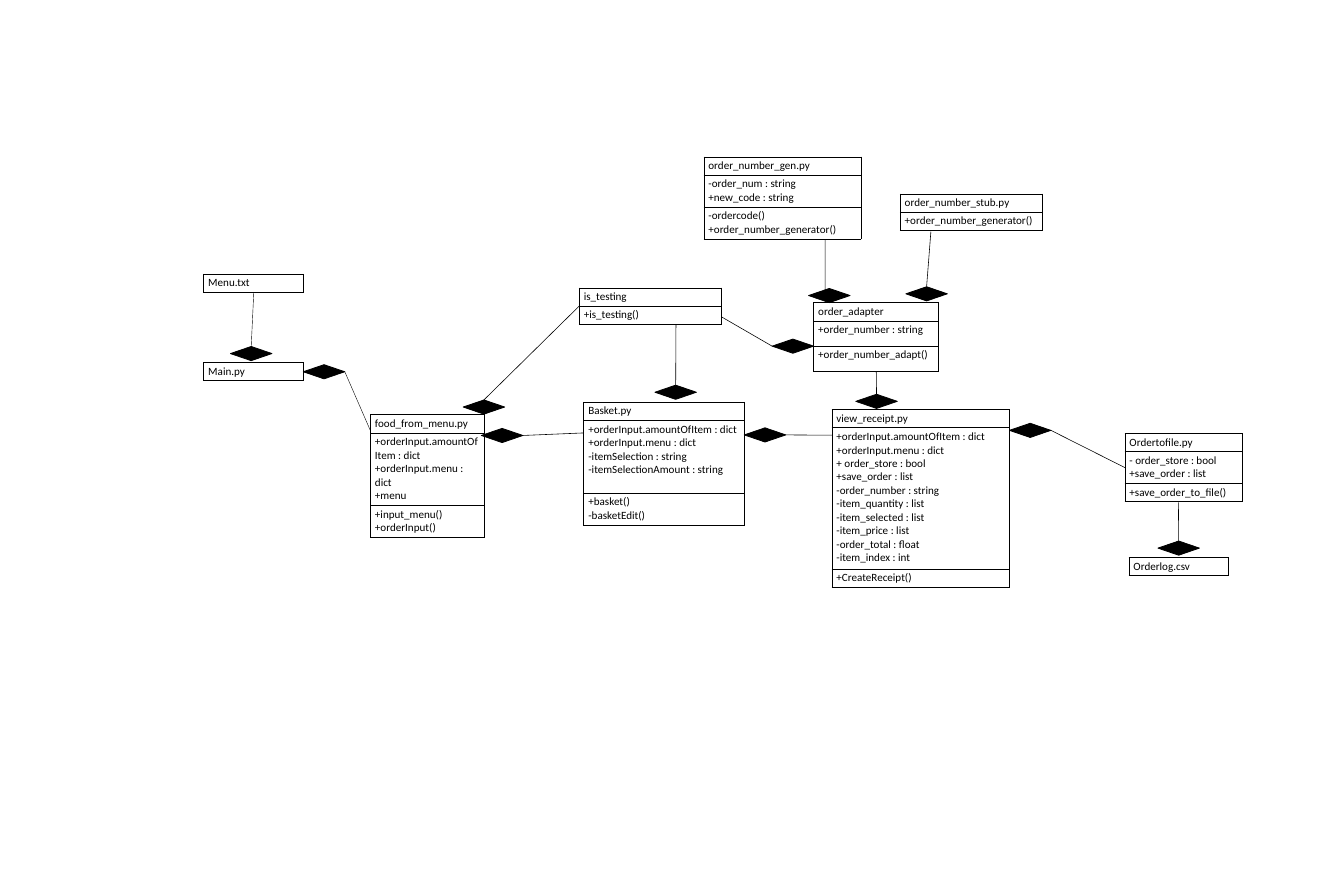
from pptx import Presentation
from pptx.dml.color import RGBColor
from pptx.enum.shapes import MSO_CONNECTOR, MSO_SHAPE
from pptx.oxml.ns import qn
from pptx.util import Inches, Pt
from lxml import etree

STRAIGHT = MSO_CONNECTOR.STRAIGHT
DIAMOND = MSO_SHAPE.DIAMOND
THEME = {"font": "Calibri", "size": Pt(14), "ink": "000000", "edge": Pt(1)}
INK = RGBColor.from_string(THEME["ink"])
FONT = {"name": THEME["font"], "size": THEME["size"], "bold": False}
COL = ROW = Inches(1)
LINE, PAD, SIDE = 0.24, 0.04, 0.08
TIP_W, TIP_H = 0.73, 0.25
TOP, LEFT, RIGHT = (0.5, 0), (0, 0.5), (1, 0.5)
INSET = {
    "margin_left": COL * SIDE, "margin_right": COL * SIDE,
    "margin_top": ROW * PAD, "margin_bottom": ROW * PAD,
}

BOXES = [
    (6.51, 7.29, 2.01, [
        (1, ["food_from_menu.py"]),
        (5, ["+orderInput.amountOfItem : dict", "+orderInput.menu : dict", "+menu"]),
        (2, ["+input_menu()", "+orderInput()"])]),
    (14.62, 7.2, 3.12, [
        (1, ["view_receipt.py"]),
        (10, ["+orderInput.amountOfItem : dict", "+orderInput.menu : dict",
              "+ order_store : bool", "+save_order : list", "-order_number : string",
              "-item_quantity : list", "-item_selected : list", "-item_price : list",
              "-order_total : float", "-item_index : int"]),
        (1, ["+CreateReceipt()"])]),
    (10.26, 7.07, 2.83, [
        (1, ["Basket.py"]),
        (5, ["+orderInput.amountOfItem : dict", "+orderInput.menu : dict",
             "-itemSelection : string", "-itemSelectionAmount : string"]),
        (2, ["+basket()", "-basketEdit()"])]),
    (14.3, 5.32, 2.19, [
        (1, ["order_adapter"]),
        (1.5, ["+order_number : string"]),
        (1.5, ["+order_number_adapt()"])]),
    (12.37, 2.76, 2.76, [
        (1, ["order_number_gen.py"]),
        (2, ["-order_num : string", "+new_code : string"]),
        (2, ["-ordercode()", "+order_number_generator()"])]),
    (19.77, 7.62, 2.07, [
        (1, ["Ordertofile.py"]),
        (2, ["- order_store : bool", "+save_order : list"]),
        (1, ["+save_order_to_file()"])]),
    (15.82, 3.41, 2.5, [
        (1, ["order_number_stub.py"]), (1, ["+order_number_generator()"])]),
    (10.18, 5.06, 2.5, [(1, ["is_testing"]), (1, ["+is_testing()"])]),
    (3.58, 4.82, 1.75, [(1, ["Menu.txt"])]),
    (3.58, 6.37, 1.75, [(1, ["Main.py"])]),
    (19.84, 9.8, 1.75, [(1, ["Orderlog.csv"])]),
]

LINKS = [
    (8.46, 7.53, RIGHT, 10.26, 7.61, 0.75),
    (4.05, 6.09, TOP, 4.46, 5.14, 0.5),
    (13.08, 7.52, RIGHT, 14.62, 7.65, 0.75),
    (15.92, 5.04, TOP, 16.36, 4.07, 0.75),
    (15.04, 6.93, TOP, 15.4, 6.53, 0.75),
    (17.74, 7.44, RIGHT, 19.77, 8.22, 0.75),
    (20.35, 9.51, TOP, 20.71, 8.83, 0.75),
    (14.21, 5.07, (0.4, 0.28), 14.5, 4.21, 0.75),
    (13.57, 5.96, LEFT, 12.68, 5.57, 0.75),
    (11.51, 6.77, TOP, 11.88, 5.7, 0.75),
    (8.14, 7.03, TOP, 10.18, 5.38, 0.75),
    (5.33, 6.41, RIGHT, 6.51, 7.57, 0.5),
]


def place(x, y):
    return round(x * COL), round(y * ROW)


def frame(cell):
    props = cell._tc.get_or_add_tcPr()
    for side in ("a:lnL", "a:lnR", "a:lnT", "a:lnB"):
        edge = etree.SubElement(props, qn(side), w=str(THEME["edge"]))
        fill = etree.SubElement(edge, qn("a:solidFill"))
        etree.SubElement(fill, qn("a:srgbClr"), val=THEME["ink"])
    cell.fill.background()


deck = Presentation()
deck.slide_width, deck.slide_height = place(23.62, 15.75)
slide = deck.slides.add_slide(deck.slide_layouts[6])
shapes = slide.shapes

for x, y, width, parts in BOXES:
    highs = [lines * LINE + 2 * PAD for lines, _ in parts]
    table = shapes.add_table(len(parts), 1, *place(x, y), *place(width, sum(highs))).table
    table.first_row = table.horz_banding = False
    for index, (high, (_, texts)) in enumerate(zip(highs, parts)):
        table.rows[index].height = round(high * ROW)
        cell = table.cell(index, 0)
        for key, value in INSET.items():
            setattr(cell, key, round(value))
        frame(cell)
        cell.text = "\n".join(texts)
        for para in cell.text_frame.paragraphs:
            for run in para.runs:
                run.font.color.rgb = INK
                for key, value in FONT.items():
                    setattr(run.font, key, value)

for x, y, (across, down), end_x, end_y, weight in LINKS:
    tip = shapes.add_shape(DIAMOND, *place(x, y), *place(TIP_W, TIP_H))
    tip.shadow.inherit = False
    tip.fill.solid()
    tip.fill.fore_color.rgb = INK
    tip.line.color.rgb = INK
    tip.line.width = THEME["edge"]
    start = place(x + across * TIP_W, y + down * TIP_H)
    link = shapes.add_connector(STRAIGHT, *start, *place(end_x, end_y))
    link.line.color.rgb = INK
    link.line.width = Pt(weight)
    etree.SubElement(link._element.spPr, qn("a:effectLst"))

deck.save("out.pptx")
